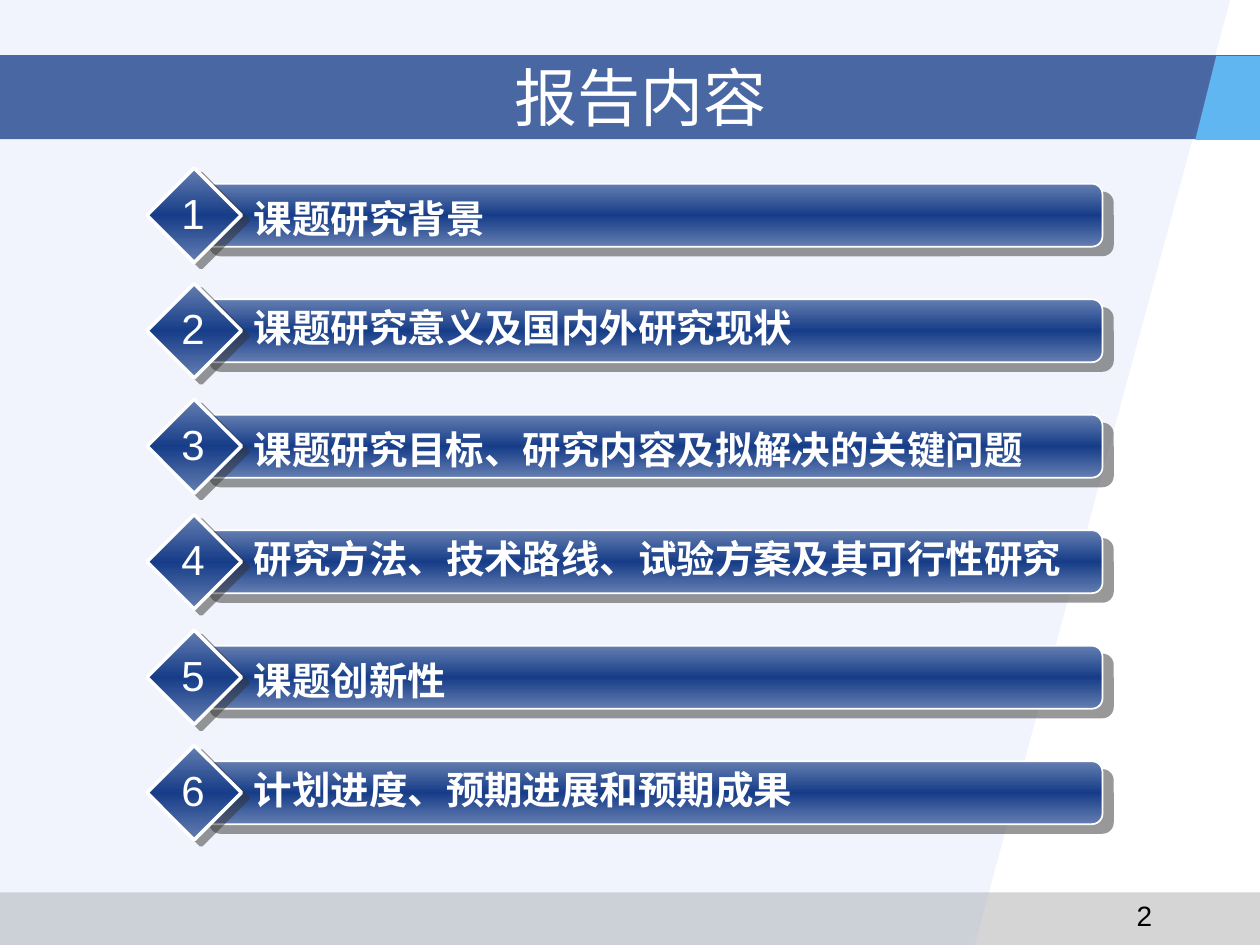
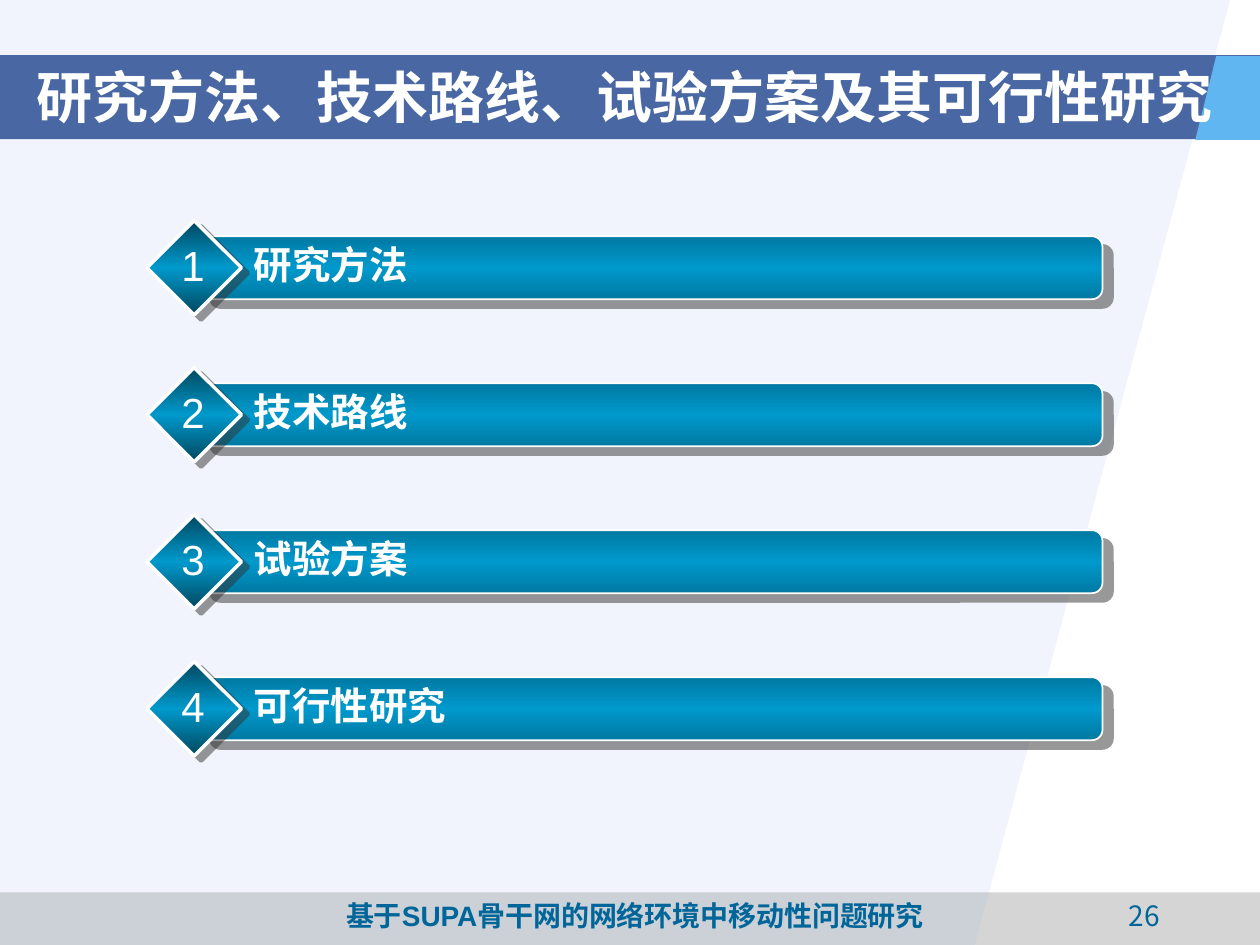
import copy

import lxml.etree
import pptx
import pptx.dml.color
import pptx.enum.shapes
import pptx.enum.text
import pptx.oxml.ns
import pptx.util

Pt = pptx.util.Pt
qn = pptx.oxml.ns.qn
FORM = pptx.enum.shapes.MSO_SHAPE
ALIGN = pptx.enum.text.PP_ALIGN
ANCHOR = pptx.enum.text.MSO_ANCHOR
SIZE = pptx.enum.text.MSO_AUTO_SIZE

WIDE, HIGH = 720, 540
COLORS = {
    "white": "FFFFFF", "black": "000000", "gray": "969696", "pale": "94B1EC",
    "navy": "173D89", "steel": "647EB0", "sky": "5FB6F1", "shade": "333333",
    "teal": "006699", "aqua": "0099CC", "sea": "0079A2", "deep": "00475E",
}

# Text styles: frame settings and font settings
TITLE = {"frame": {"vertical_anchor": ANCHOR.MIDDLE, "word_wrap": True,
                   "auto_size": SIZE.NONE},
         "font": {"name": "Times New Roman"}, "align": ALIGN.CENTER}
FOOT = {"frame": {"word_wrap": True},
        "font": {"name": "Arial", "size": Pt(16)}, "align": ALIGN.CENTER}
LABEL = {"frame": {"word_wrap": True, "auto_size": SIZE.SHAPE_TO_FIT_TEXT},
         "font": {"name": "Arial", "size": Pt(22), "bold": True},
         "align": ALIGN.LEFT}
DIGIT = {"frame": {"word_wrap": False, "auto_size": SIZE.SHAPE_TO_FIT_TEXT},
         "font": {"name": "Arial", "size": Pt(24)}, "align": ALIGN.CENTER}


def shade(name):
    return pptx.dml.color.RGBColor.from_string(COLORS[name])


def apply(item, values):
    for key, value in values.items():
        setattr(item, key, value)


def write(shape, text, style, color="white", **extra):
    """Put one formatted line of text in a shape."""
    frame = shape.text_frame
    apply(frame, style["frame"])
    para = frame.paragraphs[0]
    para.alignment = style["align"]
    run = para.add_run()
    run.text = text
    apply(run.font, {**style["font"], **extra})
    run.font.color.rgb = shade(color)


def add_text(slide, box, text, style, color="white", **extra):
    shape = slide.shapes.add_textbox(*map(Pt, box))
    write(shape, text, style, color, **extra)


def add_alpha(color, percent):
    node = lxml.etree.SubElement(color, qn("a:alpha"))
    node.set("val", str(percent * 1000))


def paint(shape, color, percent=100):
    """Flat fill without line or shadow."""
    shape.shadow.inherit = False
    shape.fill.solid()
    shape.fill.fore_color.rgb = shade(color)
    shape.line.fill.background()
    if percent < 100:
        add_alpha(shape.element.spPr.find(".//" + qn("a:srgbClr")), percent)
    return shape


def blend(shape, edge, core):
    """Vertical gradient from edge to core and back."""
    shape.fill.gradient()
    shape.fill.gradient_angle = 270
    stops = shape.element.spPr.find(".//" + qn("a:gsLst"))
    stops.append(copy.deepcopy(stops[0]))
    for stop, place, name in zip(shape.fill.gradient_stops, (0, 0.5, 1),
                                 (edge, core, edge)):
        stop.position = place
        stop.color.rgb = shade(name)


def add_gem(slide, form, box, colors, line, shift, angle):
    """Glossy shape with a white rim and a hard drop shadow."""
    shape = slide.shapes.add_shape(form, *map(Pt, box))
    blend(shape, *colors)
    shape.line.color.rgb = shade("white")
    shape.line.width = Pt(line)
    shape.shadow.inherit = False
    effects = shape.element.spPr.find(qn("a:effectLst"))
    drop = lxml.etree.SubElement(effects, qn("a:outerShdw"))
    for key, value in {"blurRad": 0, "dist": Pt(shift), "dir": angle * 60000,
                       "algn": "ctr", "rotWithShape": 0}.items():
        drop.set(key, str(value))
    tint = lxml.etree.SubElement(drop, qn("a:srgbClr"))
    tint.set("val", COLORS["shade"])
    add_alpha(tint, 50)
    return shape


def add_form(slide, points):
    maker = slide.shapes.build_freeform(*points[0], scale=Pt(1))
    maker.add_line_segments(points[1:], close=True)
    return maker.convert_to_shape()


def add_bands(slide, layout):
    """Draw the shared backdrop and hand it to the layout."""
    for holder in list(layout.placeholders):
        if holder.placeholder_format.idx:
            holder.element.getparent().remove(holder.element)
    top, end = 31.5, 79.5
    rect = slide.shapes.add_shape
    parts = [
        # Footer strip, slanted sheet, title band and its corner
        paint(rect(FORM.RECTANGLE, 0, Pt(510), Pt(WIDE), Pt(30)), "gray", 40),
        paint(add_form(slide, [(0, 0), (703, 0), (557, HIGH), (0, HIGH)]),
              "pale", 13),
        paint(rect(FORM.RECTANGLE, 0, Pt(top), Pt(WIDE), Pt(end - top)),
              "navy", 77),
        paint(add_form(slide, [(694.8, top), (682.6, end), (WIDE, end),
                               (WIDE, top)]), "sky"),
    ]
    for spot, part in enumerate(parts, 2):
        layout.shapes.element.insert(spot, part.element)


def add_title(slide, box, text, **extra):
    title = slide.shapes.title
    apply(title, dict(zip(("left", "top", "width", "height"), map(Pt, box))))
    write(title, text, TITLE, **extra)


def add_row(slide, box, number, text, theme, span, drop):
    """One agenda row: bar, diamond, label and number."""
    left, top, width, height = box
    bar = add_gem(slide, FORM.ROUNDED_RECTANGLE,
                  (left + 30, top, width - 30, height), theme["bar"], 1, 7.8, 40)
    bar.adjustments[0] = 0.167
    add_gem(slide, FORM.DIAMOND, (left, top - 9, 54, 54), theme["gem"], 2, 5, 37)
    add_text(slide, (left + 54, top + drop, span, 34), text, LABEL)
    add_text(slide, (left + 12.5, top - 1.5, 27, 36), str(number), DIGIT)


def add_rows(slide, box, rows, pitch, theme, drops):
    """Agenda rows at an equal pitch, with label shifts taken in turn."""
    left, top, width, height = box
    for turn, (text, span) in enumerate(rows):
        add_row(slide, (left, top + turn * pitch, width, height), turn + 1,
                text, theme, span, drops[turn % len(drops)])


def add_page(slide, text, color, **extra):
    add_text(slide, (606, 510, 96, 18), text, FOOT, color, **extra)


def make_report(slide):
    add_title(slide, (42, 32.5, 648, 45), "报告内容", size=Pt(36))
    add_page(slide, "2", "black")
    rows = [
        ("课题研究背景", 270),
        ("课题研究意义及国内外研究现状", 378),
        ("课题研究目标、研究内容及拟解决的关键问题", 468),
        ("研究方法、技术路线、试验方案及其可行性研究", 486),
        ("课题创新性", 270),
        ("计划进度、预期进展和预期成果", 378),
    ]
    theme = {"bar": ("steel", "navy"), "gem": ("steel", "navy")}
    add_rows(slide, (84, 105, 546, 36), rows, 66, theme, (3, -0.75))


def make_method(slide):
    add_page(slide, "26", "teal", name="Noto Sans CJK SC")
    add_text(slide, (168, 510, 390, 18),
             "基于SUPA骨干网的网络环境中移动性问题研究", FOOT, "teal", bold=True)
    add_title(slide, (6, 32.5, 702, 45),
              "研究方法、技术路线、试验方案及其可行性研究", size=Pt(32), bold=True)
    rows = [(text, 480) for text in
            ("研究方法", "技术路线", "试验方案", "可行性研究")]
    theme = {"bar": ("sea", "aqua"), "gem": ("deep", "aqua")}
    add_rows(slide, (84, 135, 546, 36), rows, 84, theme, (-0.75,))


def main():
    deck = pptx.Presentation()
    apply(deck, {"slide_width": Pt(WIDE), "slide_height": Pt(HIGH)})
    layout = deck.slide_layouts[5]
    slides = [deck.slides.add_slide(layout) for _ in range(2)]
    add_bands(slides[0], layout)
    make_report(slides[0])
    make_method(slides[1])
    deck.save("out.pptx")


if __name__ == "__main__":
    main()
